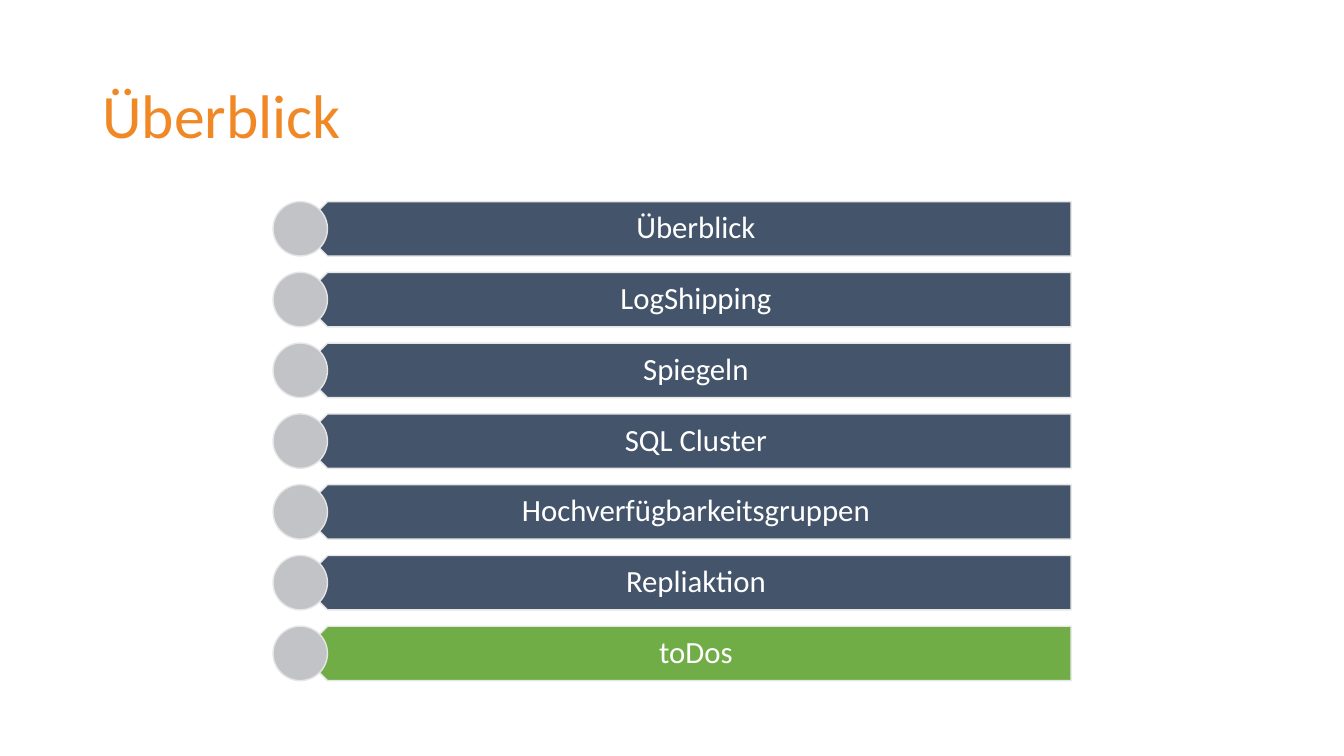
from pptx import Presentation
from pptx.dml.color import RGBColor
from pptx.enum.shapes import MSO_SHAPE
from pptx.enum.text import MSO_ANCHOR, PP_ALIGN
from pptx.util import Pt

ORANGE = RGBColor(0xF1, 0x88, 0x26)
SLATE = RGBColor(0x44, 0x54, 0x6A)
GREEN = RGBColor(0x70, 0xAD, 0x47)
GREY = RGBColor(0xC1, 0xC3, 0xC7)
PALE = RGBColor(0xE7, 0xE6, 0xE6)
WHITE = RGBColor(0xFF, 0xFF, 0xFF)

TOPICS = ["Überblick", "LogShipping", "Spiegeln", "SQL Cluster",
          "Hochverfügbarkeitsgruppen", "Repliaktion", "toDos"]
CURRENT = "toDos"

# Agenda geometry in points
TOP, PITCH, HEIGHT = 144, 50.55, 38.9
BAR_LEFT, BAR_WIDTH = 214.5, 550.5
LABEL_LEFT, LABEL_WIDTH = 224.2, 540.8

TITLE_FORMAT = {"size": Pt(44), "name": "Calibri"}
LABEL_FORMAT = {"size": Pt(22), "name": "Calibri"}
LABEL_MARGINS = {"margin_left": Pt(17.2), "margin_right": Pt(12.2),
                 "margin_top": Pt(6.5), "margin_bottom": Pt(6.5)}


def set_attrs(obj, values):
    for name, value in values.items():
        setattr(obj, name, value)


def add_text(slide, text, box, font, color, align=PP_ALIGN.LEFT, margins={}):
    tf = slide.shapes.add_textbox(*map(Pt, box)).text_frame
    set_attrs(tf, {"word_wrap": True, "vertical_anchor": MSO_ANCHOR.MIDDLE, **margins})
    p = tf.paragraphs[0]
    set_attrs(p, {"alignment": align, "line_spacing": 0.9})
    r = p.add_run()
    r.text = text
    set_attrs(r.font, font)
    r.font.color.rgb = color


def add_outlined(slide, kind, box, fill, rotation=0):
    sp = slide.shapes.add_shape(kind, *map(Pt, box))
    sp.shadow.inherit = False
    sp.rotation = rotation
    sp.fill.solid()
    sp.fill.fore_color.rgb = fill
    sp.line.color.rgb = PALE
    sp.line.width = Pt(1)


def add_topic(slide, text, top):
    # Bar pointing left, its label, and the bullet circle over the tip
    add_outlined(slide, MSO_SHAPE.PENTAGON, (BAR_LEFT, top, BAR_WIDTH, HEIGHT),
                 GREEN if text == CURRENT else SLATE, rotation=180)
    add_text(slide, text, (LABEL_LEFT, top, LABEL_WIDTH, HEIGHT), LABEL_FORMAT,
             WHITE, PP_ALIGN.CENTER, LABEL_MARGINS)
    add_outlined(slide, MSO_SHAPE.OVAL,
                 (BAR_LEFT - HEIGHT / 2, top, HEIGHT, HEIGHT), GREY)


def main():
    prs = Presentation()
    prs.slide_width, prs.slide_height = Pt(960), Pt(540)
    slide = prs.slides.add_slide(prs.slide_layouts[6])

    # Title
    add_text(slide, "Überblick", (66, 36, 828, 97.2), TITLE_FORMAT, ORANGE)

    # Agenda
    for i, topic in enumerate(TOPICS):
        add_topic(slide, topic, TOP + i * PITCH)

    prs.save("out.pptx")


if __name__ == "__main__":
    main()
